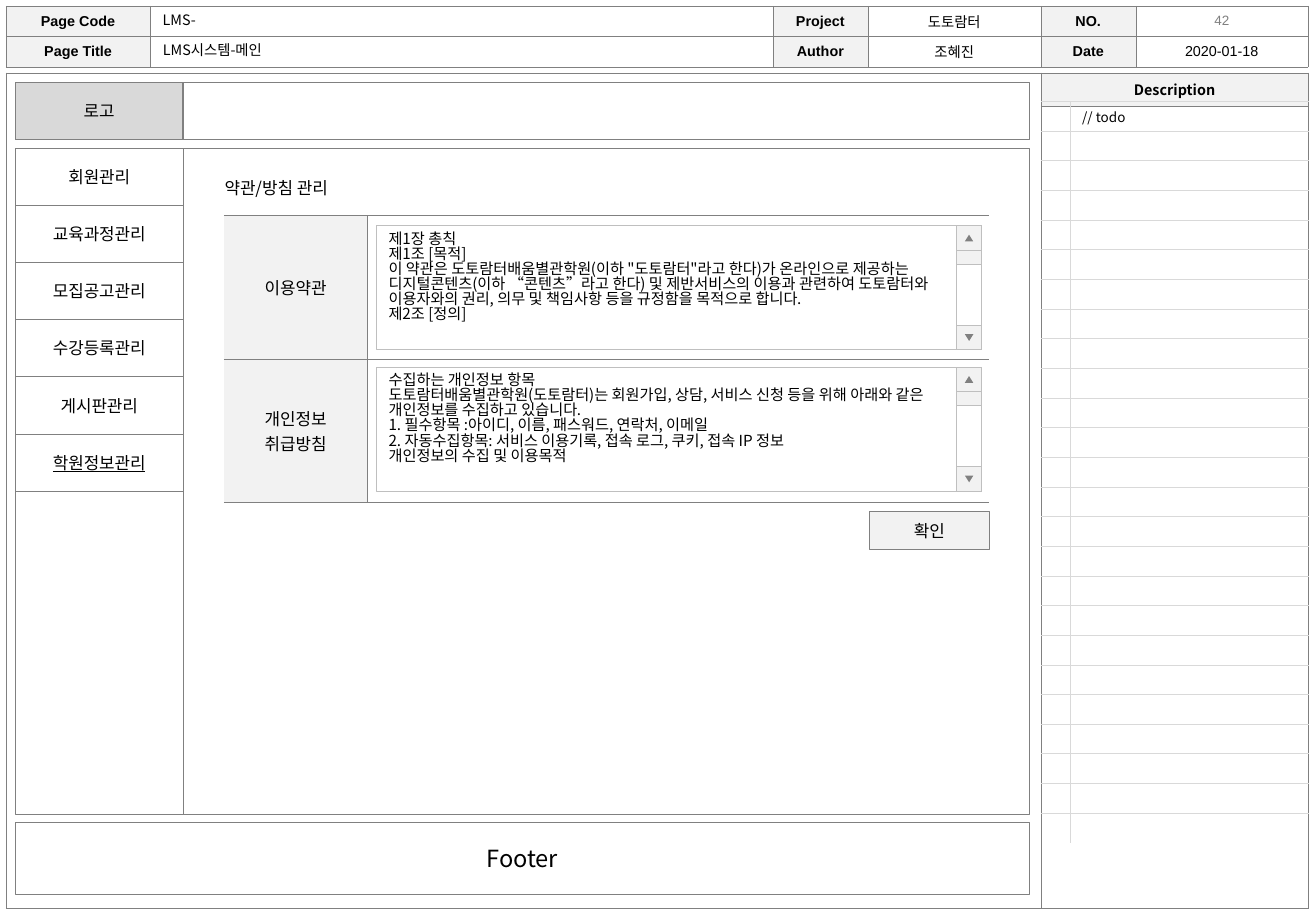
"""Builds the LMS wireframe slide for managing terms and privacy policies."""
import lxml.etree
import pptx
import pptx.dml.color
import pptx.enum.shapes
import pptx.enum.text
import pptx.oxml.ns
import pptx.util

Pt = pptx.util.Pt
qn = pptx.oxml.ns.qn
SHAPE = pptx.enum.shapes.MSO_SHAPE
ALIGN = pptx.enum.text.PP_ALIGN
ANCHOR = pptx.enum.text.MSO_ANCHOR
GROW = pptx.enum.text.MSO_AUTO_SIZE.SHAPE_TO_FIT_TEXT
NOTO = "Noto Sans CJK KR"
GRAY, SILVER, PALE, WHITE = "808080", "BFBFBF", "F2F2F2", "FFFFFF"
NO_STYLE = "{2D5ABB26-0587-4C30-8999-92F81FD0307C}"

MENU = ["회원관리", "교육과정관리", "모집공고관리", "수강등록관리", "게시판관리", "학원정보관리"]
TERMS = """제1장 총칙
제1조 [목적]
이 약관은 도토람터배움별관학원(이하 "도토람터"라고 한다)가 온라인으로 제공하는 디지털콘텐츠(이하 “콘텐츠”라고 한다) 및 제반서비스의 이용과 관련하여 도토람터와 이용자와의 권리, 의무 및 책임사항 등을 규정함을 목적으로 합니다.
제2조 [정의]"""
PRIVACY = """수집하는 개인정보 항목
도토람터배움별관학원(도토람터)는 회원가입, 상담, 서비스 신청 등을 위해 아래와 같은 개인정보를 수집하고 있습니다.
1. 필수항목 :아이디, 이름, 패스워드, 연락처, 이메일
2. 자동수집항목: 서비스 이용기록, 접속 로그, 쿠키, 접속 IP 정보
개인정보의 수집 및 이용목적"""
HEADER = [["Page Code", "", "Project", "도토람터", "NO.", ""],
          ["Page Title", "", "Author", "조혜진", "Date", "2020-01-18"]]


def rgb(color):
    """Turn a hex string into a colour."""
    return pptx.dml.color.RGBColor.from_string(color)


def write(frame, text, size, font=NOTO, color="000000", bold=False, underline=False,
          align=ALIGN.CENTER, spacing=None):
    """Fill a text frame and format its runs."""
    frame.text = text
    for paragraph in frame.paragraphs:
        paragraph.alignment = align
        if spacing:
            paragraph.line_spacing = spacing
        for run in paragraph.runs:
            run.font.size = Pt(size)
            run.font.bold = bold
            if underline:
                run.font.underline = True
            run.font.color.rgb = rgb(color)
            run.font.name = font
            lxml.etree.SubElement(run.font._element, qn("a:ea"), typeface=NOTO)


def box(shapes, left, top, width, height, fill=WHITE, line=GRAY, weight=0.5, kind=SHAPE.RECTANGLE):
    """Add a flat preset shape."""
    part = shapes.add_shape(kind, Pt(left), Pt(top), Pt(width), Pt(height))
    part.shadow.inherit = False
    part.fill.solid()
    part.fill.fore_color.rgb = rgb(fill)
    if line:
        part.line.color.rgb = rgb(line)
        part.line.width = Pt(weight)
    else:
        part.line.fill.background()
    return part


def labelled_box(shapes, bounds, text, size=10, fill=WHITE, weight=0.5, underline=False):
    """Add a rectangle with centred text."""
    part = box(shapes, *bounds, fill=fill, weight=weight)
    part.text_frame.vertical_anchor = ANCHOR.MIDDLE
    write(part.text_frame, text, size, underline=underline)


def label(shapes, bounds, text, size, wrap=True, **style):
    """Add a text box that grows with its text."""
    frame = shapes.add_textbox(*map(Pt, bounds)).text_frame
    frame.word_wrap = wrap
    frame.auto_size = GROW
    write(frame, text, size, **style)


def grid(shapes, left, top, widths, heights):
    """Add a plain table without style and return it."""
    table = shapes.add_table(len(heights), len(widths), Pt(left), Pt(top),
                             Pt(sum(widths)), Pt(sum(heights))).table
    table.first_row = table.horz_banding = False
    table._tbl.tblPr.find(qn("a:tableStyleId")).text = NO_STYLE
    for column, width in zip(table.columns, widths):
        column.width = Pt(width)
    for row, height in zip(table.rows, heights):
        row.height = Pt(height)
    return table


def format_cell(cell, text="", sides="LRTB", line=GRAY, weight=0.5, fill=None,
                size=8.5, margin=3.6, anchor=ANCHOR.MIDDLE, **style):
    """Set the borders, fill and text of a table cell."""
    properties = cell._tc.get_or_add_tcPr()
    for side in "LRTB":
        edge = lxml.etree.SubElement(properties, qn(f"a:ln{side}"), w=str(Pt(weight)))
        if side in sides:
            paint = lxml.etree.SubElement(edge, qn("a:solidFill"))
            lxml.etree.SubElement(paint, qn("a:srgbClr"), val=line)
        else:
            lxml.etree.SubElement(edge, qn("a:noFill"))
    if fill:
        cell.fill.solid()
        cell.fill.fore_color.rgb = rgb(fill)
    else:
        cell.fill.background()
    cell.margin_top = cell.margin_bottom = Pt(margin)
    cell.vertical_anchor = anchor
    if text:
        write(cell.text_frame, text, size, **style)
    else:
        paragraph = cell.text_frame.paragraphs[0]._p
        lxml.etree.SubElement(paragraph, qn("a:endParaRPr"), sz="400")


def page_header(slide):
    """Add the document header with its page code, title and number."""
    table = grid(slide.shapes, 3.6, 3.6, [85.3, 369.2, 56.3, 102.5, 56.3, 102], [18, 18])
    for r, row in enumerate(HEADER):
        for c, text in enumerate(row):
            caption = c % 2 == 0
            format_cell(table.cell(r, c), text, weight=0.25, fill=PALE if caption else None,
                        margin=2.9, font="Arial", bold=caption)
    label(slide.shapes, (673.2, 3.6, 102.2, 17.3), "42", 8, font="Arial", color="7F7F7F")
    label(slide.shapes, (89.3, 2.9, 368.6, 17.3), "LMS-", 8.5, align=ALIGN.LEFT)
    title = slide.shapes.title
    title.left, title.top, title.width, title.height = map(Pt, (89.3, 20.9, 368.6, 17.3))
    title.text_frame.vertical_anchor = ANCHOR.TOP
    title.text_frame.auto_size = GROW
    write(title.text_frame, "LMS시스템-메인", 8.5, align=ALIGN.LEFT)


def description(shapes):
    """Add the page frame and the description list on the right."""
    frame = grid(shapes, 3.6, 43.2, [613.4, 158.4], [19.5, 475.9])
    format_cell(frame.cell(0, 0), sides="LRT", weight=0.25)
    format_cell(frame.cell(0, 1), "Description", weight=0.25, fill=PALE, bold=True,
                anchor=ANCHOR.TOP)
    format_cell(frame.cell(1, 0), sides="LRB", weight=0.25)
    format_cell(frame.cell(1, 1), weight=0.25)
    count = 25
    notes = grid(shapes, 617, 60.2, [17, 141.4], [17.6] * count)
    for r in range(count):
        level = "T" if r == count - 1 else "TB"
        format_cell(notes.cell(r, 0), sides="R" + level, line="D9D9D9")
        format_cell(notes.cell(r, 1), "" if r else "// todo", sides="L" + level, line="D9D9D9",
                    size=8, margin=2, align=ALIGN.LEFT)


def scrollbar(shapes, left, top, height):
    """Add a vertical scrollbar with a thumb and two arrow buttons."""
    side, arrow_width, arrow_height = 14.4, 5, 4
    bar = shapes.add_group_shape().shapes
    box(bar, left, top, side, height, line=SILVER)
    box(bar, left, top + side, side, 8.2, fill=PALE, line=SILVER)
    for button_top, turn in ((top, 0), (top + height - side, 180)):
        box(bar, left, button_top, side, side, fill=PALE, line=SILVER)
        arrow = box(bar, left + (side - arrow_width) / 2, button_top + (side - arrow_height) / 2,
                    arrow_width, arrow_height, fill=GRAY, line=None,
                    kind=SHAPE.ISOSCELES_TRIANGLE)
        arrow.rotation = turn


def policies(shapes):
    """Add the policy table with a scrolling text field in each row."""
    label(shapes, (126, 101.5, 82.8, 19.4), "약관/방침 관리", 10, wrap=False, align=ALIGN.LEFT)
    table = grid(shapes, 132.7, 127.8, [85, 368.6], [85, 85])
    rows = [("이용약관", TERMS, 133.9), ("개인정보\n취급방침", PRIVACY, 217.7)]
    for r, (caption, text, top) in enumerate(rows):
        format_cell(table.cell(r, 0), caption, sides="RTB", fill=PALE, size=10)
        format_cell(table.cell(r, 1), sides="LTB")
        field = box(shapes, 223.2, top, 344.2, 73.4, line=SILVER).text_frame
        field.vertical_anchor = ANCHOR.TOP
        field.word_wrap = True
        write(field, text, 9, align=ALIGN.LEFT, spacing=0.83)
        scrollbar(shapes, 567.2, top, 73.4)
    labelled_box(shapes, (515.5, 303.2, 70.8, 22.4), "확인", fill=PALE)


def main():
    """Build the slide and save it."""
    deck = pptx.Presentation()
    deck.slide_width, deck.slide_height = Pt(780), Pt(540)
    slide = deck.slides.add_slide(deck.slide_layouts[5])
    shapes = slide.shapes
    left, menu_width, page_width, body_top, body_height = 9.1, 99.4, 601, 87.8, 395
    page_header(slide)
    description(shapes)
    box(shapes, left, 49, page_width, 33.8)
    labelled_box(shapes, (left, 49, menu_width, 33.8), "로고", fill="D9D9D9", weight=0.75)
    box(shapes, left + menu_width, body_top, page_width - menu_width, body_height)
    box(shapes, left, body_top, menu_width, body_height)
    item_height = 33.9
    for i, item in enumerate(MENU):
        labelled_box(shapes, (left, body_top + i * item_height, menu_width, item_height), item,
                     underline=item == MENU[-1])
    policies(shapes)
    labelled_box(shapes, (left, 487.4, page_width, 42.6), "Footer", size=14)
    deck.save("out.pptx")


if __name__ == "__main__":
    main()
